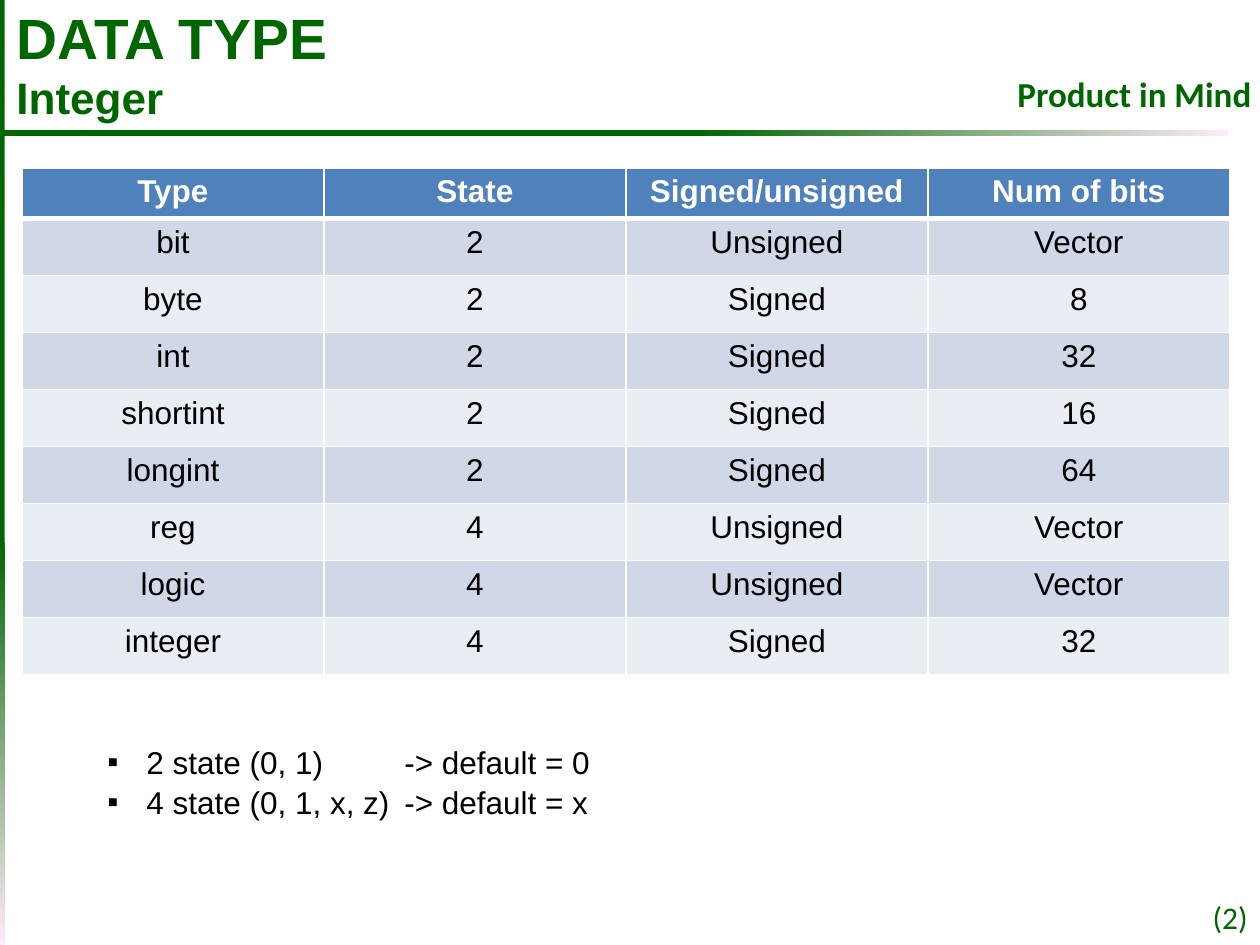
"""Build the integer data type slide."""
import pptx
import pptx.dml.color
import pptx.enum.shapes
import pptx.enum.text
import pptx.oxml
import pptx.oxml.ns
import pptx.util

RGB = pptx.dml.color.RGBColor
GREEN = RGB(0x00, 0x66, 0x00)
PINK = RGB(0xFF, 0xEB, 0xFA)
BLUE = RGB(0x4F, 0x81, 0xBD)
BANDS = RGB(0xD0, 0xD8, 0xE8), RGB(0xE9, 0xED, 0xF4)
WHITE = RGB(0xFF, 0xFF, 0xFF)
BLACK = RGB(0x00, 0x00, 0x00)
ALIGN = pptx.enum.text.PP_ALIGN
ANCHOR = pptx.enum.text.MSO_ANCHOR

TITLE = "DATA TYPE\nInteger"
MOTTO = "Product in Mind"
PAGE = "(2)"
ROWS = [
    ("Type", "State", "Signed/unsigned", "Num of bits"),
    ("bit", "2", "Unsigned", "Vector"),
    ("byte", "2", "Signed", "8"),
    ("int", "2", "Signed", "32"),
    ("shortint", "2", "Signed", "16"),
    ("longint", "2", "Signed", "64"),
    ("reg", "4", "Unsigned", "Vector"),
    ("logic", "4", "Unsigned", "Vector"),
    ("integer", "4", "Signed", "32"),
]
NOTES = ["2 state (0, 1)\t-> default = 0", "4 state (0, 1, x, z)\t-> default = x"]
BARS = [(-471, 470, 945, 6, 90), (0, 130, 1228, 6, 0)]
LEFT, TOP, COL, HEAD, ROW = 22, 168, 302, 48, 57
INDENT, TAB = 39, 297


def px(n):
    return pptx.util.Emu(round(n * 914400 / 126))


def write(par, text, sizes=(18,), font="Arial", color=BLACK, bold=False, align=ALIGN.LEFT):
    par.alignment = align
    for i, (line, size) in enumerate(zip(text.split("\n"), sizes)):
        if i:
            par.add_line_break()
        run = par.add_run()
        run.text = line
        run.font.size = pptx.util.Pt(size)
        run.font.name = font
        run.font.color.rgb = color
        run.font.bold = bold


def frame(slide, box, anchor=ANCHOR.TOP):
    body = slide.shapes.add_textbox(*map(px, box)).text_frame
    body.word_wrap = True
    body.vertical_anchor = anchor
    return body


def bar(slide, left, top, width, height, turn):
    shape = slide.shapes.add_shape(
        pptx.enum.shapes.MSO_SHAPE.RECTANGLE, *map(px, (left, top, width, height)))
    shape.rotation = turn
    shape.shadow.inherit = False
    shape.line.fill.background()
    shape.fill.gradient()
    shape.fill.gradient_angle = 0
    for stop, place, color in zip(shape.fill.gradient_stops, (0.57, 1), (GREEN, PINK)):
        stop.position = place
        stop.color.rgb = color


def border(cell, base):
    props = cell._tc.get_or_add_tcPr()
    sides = ("L", 1), ("R", 1), ("T", 1), ("B", base)
    for i, (side, width) in enumerate(sides):
        props.insert(i, pptx.oxml.parse_xml(
            f'<a:ln{side} {pptx.oxml.ns.nsdecls("a")} w="{pptx.util.Pt(width)}">'
            f'<a:solidFill><a:srgbClr val="{WHITE}"/></a:solidFill></a:ln{side}>'))


def grid(slide):
    rows, cols = len(ROWS), len(ROWS[0])
    box = LEFT, TOP, COL * cols, HEAD + ROW * (rows - 1)
    table = slide.shapes.add_table(rows, cols, *map(px, box)).table
    table.horz_banding = False
    for col in table.columns:
        col.width = px(COL)
    for i, words in enumerate(ROWS):
        head = i == 0
        table.rows[i].height = px(HEAD if head else ROW)
        for j, word in enumerate(words):
            cell = table.cell(i, j)
            cell.fill.solid()
            cell.fill.fore_color.rgb = BLUE if head else BANDS[(i - 1) % 2]
            border(cell, 3 if i < 1 else 1)
            write(cell.text_frame.paragraphs[0], word, bold=head,
                  color=WHITE if head else BLACK, align=ALIGN.CENTER)


def bullet(par):
    props = par._p.get_or_add_pPr()
    props.set("marL", str(px(INDENT)))
    props.set("indent", str(-px(INDENT)))
    space = pptx.oxml.ns.nsdecls("a")
    for part in (f'<a:buFont {space} typeface="Arial"/>',
                 f'<a:buChar {space} char="▪"/>',
                 f'<a:tabLst {space}><a:tab pos="{px(TAB)}" algn="l"/></a:tabLst>'):
        props.append(pptx.oxml.parse_xml(part))


def main():
    deck = pptx.Presentation()
    deck.slide_width, deck.slide_height = px(1260), px(945)
    slide = deck.slides.add_slide(deck.slide_layouts[6])
    write(frame(slide, (1166, 892, 94, 51)).paragraphs[0], PAGE,
          font="Calibri", color=GREEN, align=ALIGN.RIGHT)
    for item in BARS:
        bar(slide, *item)
    write(frame(slide, (998, 66, 273, 55)).paragraphs[0], MOTTO, sizes=(20,),
          font="Calibri", color=GREEN, bold=True, align=ALIGN.CENTER)
    write(frame(slide, (4, 0, 994, 126), ANCHOR.MIDDLE).paragraphs[0], TITLE,
          sizes=(32.4, 25.2), color=GREEN, bold=True)
    grid(slide)
    body = frame(slide, (95, 735, 514, 127))
    for i, note in enumerate(NOTES):
        par = body.add_paragraph() if i else body.paragraphs[0]
        write(par, note)
        par.line_spacing = 1.05
        bullet(par)
    deck.save("out.pptx")


if __name__ == "__main__":
    main()
